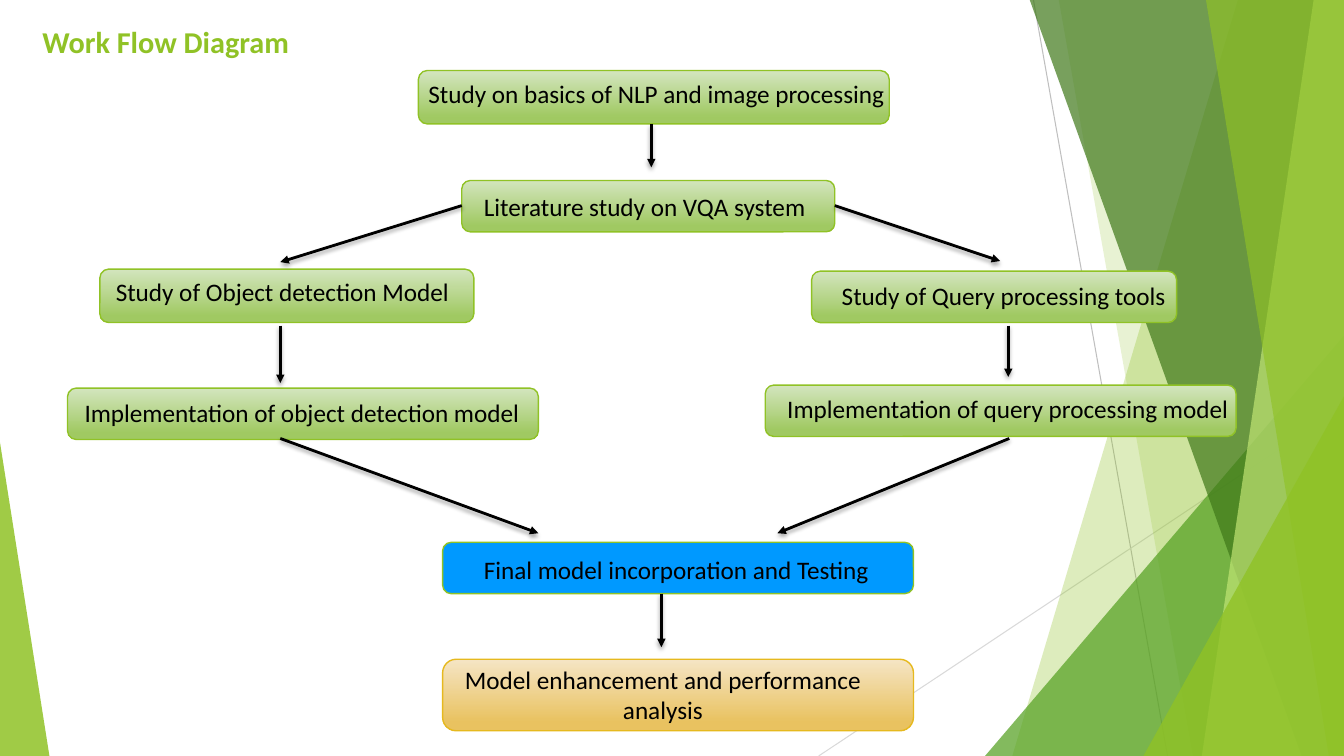
from typing import NamedTuple

from lxml.etree import SubElement
from pptx import Presentation
from pptx.dml.color import RGBColor
from pptx.enum.shapes import MSO_CONNECTOR as Conn, MSO_SHAPE as Shp
from pptx.enum.text import MSO_ANCHOR as Anchor, PP_ALIGN as Align
from pptx.oxml.ns import qn
from pptx.util import Inches, Pt

# The grid: 13.33 columns by 7.5 rows over the whole slide
COLS, ROWS = 13.33, 7.5
WIDTH, HEIGHT = Inches(COLS), Inches(ROWS)
TOP = -0.01
FONT = "Calibri"
COLORS = {
    "lime": "90C226", "leaf": "54A021", "forest": "3F7819", "pale": "C0E474",
    "mint": "D3E5BE", "moss": "A0C962", "cream": "F5E5C5", "honey": "E9C260",
    "gold": "E6B91E", "blue": "0099FF", "black": "000000",
    "gray": "BFBFBF", "silver": "D9D9D9",
}


class Band(NamedTuple):
    """A background band running from top to bottom at the right edge."""
    top_col: float
    bottom_col: float
    color: str
    alpha: int


class Wedge(NamedTuple):
    """A background triangle standing on the bottom edge."""
    col: float
    row: float
    cols: float
    apex: float
    color: str
    alpha: int


class Step(NamedTuple):
    """A workflow box and its label."""
    label: str
    box: tuple
    label_at: tuple
    fill: tuple = ("mint", "moss")
    line: str = "lime"
    align: Align = Align.LEFT
    radius: float = 0.167


class Link(NamedTuple):
    """A straight line between two grid points."""
    start: tuple
    end: tuple
    color: str = "black"
    weight: float = 2
    arrow: bool = True


DECOR_LINES = [
    Link((10.25, 0), (11.58, ROWS), "gray", 0.75, False),
    Link((COLS, 4.03), (8.12, ROWS), "silver", 0.75, False),
]
DECOR = [
    Band(12.28, 10.04, "lime", 30),
    Band(10.5, 11.83, "lime", 20),
    Wedge(9.77, 3.33, 3.56, 1, "leaf", 72),
    Band(10.21, 12.91, "forest", 70),
    Band(13.03, 11.92, "pale", 70),
    Band(11.96, 13.18, "lime", 65),
    Wedge(11.34, 3.93, 1.99, 1, "lime", 80),
    Wedge(0, 4.39, 0.49, 0, "lime", 85),
]
STEPS = [
    Step("Study on basics of NLP and image processing",
         (4.15, 0.7, 4.67, 0.53), (4.15, 0.73, 6.25, 0.4)),
    Step("Literature study on VQA system",
         (4.58, 1.79, 3.7, 0.51), (4.7, 1.85, 3.93, 0.4)),
    Step("Study of Object detection Model",
         (0.99, 2.67, 3.71, 0.53), (1.05, 2.69, 4.06, 0.4)),
    Step("Study of Query processing tools",
         (8.05, 2.69, 3.62, 0.51), (8.25, 2.73, 3.92, 0.4)),
    Step("Implementation of object detection model",
         (0.67, 3.85, 4.67, 0.51), (0.74, 3.89, 5.17, 0.4)),
    Step("Implementation of query processing model",
         (7.59, 3.82, 4.67, 0.51), (7.71, 3.85, 5.17, 0.4)),
    Step("Final model incorporation and Testing",
         (4.39, 5.38, 4.67, 0.51), (4.7, 5.45, 4.53, 0.4), ("blue",)),
    Step("Model enhancement and performance analysis",
         (4.39, 6.54, 4.67, 0.71), (4.31, 6.54, 4.53, 0.71),
         ("cream", "honey"), "gold", Align.CENTER, 0.19),
]
ARROWS = [
    Link((6.46, 1.23), (6.46, 1.66)),
    Link((4.58, 2.04), (2.78, 2.6)),
    Link((8.28, 2.04), (9.92, 2.59)),
    Link((2.78, 3.23), (2.78, 3.8)),
    Link((10, 3.23), (10, 3.74)),
    Link((2.78, 4.35), (5.34, 5.29)),
    Link((10.01, 4.35), (7.71, 5.29)),
    Link((6.56, 5.89), (6.56, 6.42)),
]


def grid(*cells: float) -> list[int]:
    """Turn alternating column and row values into lengths."""
    units = (WIDTH / COLS, HEIGHT / ROWS)
    return [round(v * units[i % 2]) for i, v in enumerate(cells)]


def rgb(name: str) -> RGBColor:
    """Look up a named colour."""
    return RGBColor.from_string(COLORS[name])


def write(tf, text: str, *, size: float = 18, color: str = "black", bold: bool = False,
          align: Align = Align.LEFT, anchor: Anchor = Anchor.TOP) -> None:
    """Write one formatted paragraph into a text frame."""
    tf.word_wrap = True
    tf.vertical_anchor = anchor
    p = tf.paragraphs[0]
    p.alignment = align
    r = p.add_run()
    r.text = text
    r.font.name, r.font.size, r.font.bold = FONT, Pt(size), bold
    r.font.color.rgb = rgb(color)


def glaze(s, color: str, alpha: int) -> None:
    """Give a shape a see-through fill and no outline."""
    s.shadow.inherit = False
    s.line.fill.background()
    s.fill.solid()
    s.fill.fore_color.rgb = rgb(color)
    clr = s.fill._xPr.find(qn("a:solidFill"))[0]
    SubElement(clr, qn("a:alpha"), val=str(alpha * 1000))


def add_decor(shapes, item: Band | Wedge) -> None:
    """Draw one background band or wedge."""
    if isinstance(item, Band):
        points = [(item.top_col, TOP), (COLS, TOP), (COLS, ROWS), (item.bottom_col, ROWS)]
        start, *rest = [grid(*point) for point in points]
        builder = shapes.build_freeform(*start)
        builder.add_line_segments(rest)
        s = builder.convert_to_shape()
    else:
        s = shapes.add_shape(Shp.ISOSCELES_TRIANGLE,
                             *grid(item.col, item.row, item.cols, ROWS - item.row))
        s.adjustments[0] = item.apex
    glaze(s, item.color, item.alpha)


def add_link(shapes, link: Link) -> None:
    """Draw a line; an arrow also gets a head and a soft shadow."""
    s = shapes.add_connector(Conn.STRAIGHT, *grid(*link.start, *link.end))
    s.line.color.rgb, s.line.width = rgb(link.color), Pt(link.weight)
    effects = SubElement(s._element.spPr, qn("a:effectLst"))
    if link.arrow:
        SubElement(s.line._get_or_add_ln(), qn("a:tailEnd"), type="triangle")
        shadow = SubElement(effects, qn("a:outerShdw"), blurRad=str(Pt(3)),
                            dist=str(Pt(2)), dir="5400000", rotWithShape="0")
        clr = SubElement(shadow, qn("a:srgbClr"), val=COLORS["black"])
        SubElement(clr, qn("a:alpha"), val="35000")


def add_box(shapes, step: Step) -> None:
    """Draw the rounded box of a step, plain or shaded downwards."""
    s = shapes.add_shape(Shp.ROUNDED_RECTANGLE, *grid(*step.box))
    s.adjustments[0] = step.radius
    s.shadow.inherit = False
    s.line.color.rgb, s.line.width = rgb(step.line), Pt(1)
    if len(step.fill) == 1:
        s.fill.solid()
        s.fill.fore_color.rgb = rgb(step.fill[0])
        return
    s.fill.gradient()
    s.fill.gradient_angle = 270
    for stop, color, position in zip(s.fill.gradient_stops, step.fill, (0, 0.88)):
        stop.color.rgb, stop.position = rgb(color), position


def add_label(shapes, step: Step) -> None:
    """Write the label of a step over its box."""
    write(shapes.add_textbox(*grid(*step.label_at)).text_frame, step.label, align=step.align)


prs = Presentation()
prs.slide_width, prs.slide_height = WIDTH, HEIGHT
slide = prs.slides.add_slide(prs.slide_layouts[5])
shapes = slide.shapes

title = shapes.title
title.left, title.top, title.width, title.height = grid(0.32, 0.18, 3.35, 0.46)
write(title.text_frame, "Work Flow Diagram", size=21.6, color="lime", bold=True,
      anchor=Anchor.MIDDLE)

for link in DECOR_LINES:
    add_link(shapes, link)
for item in DECOR:
    add_decor(shapes, item)
for step in STEPS:
    add_box(shapes, step)
    add_label(shapes, step)
for link in ARROWS:
    add_link(shapes, link)

prs.save("out.pptx")
